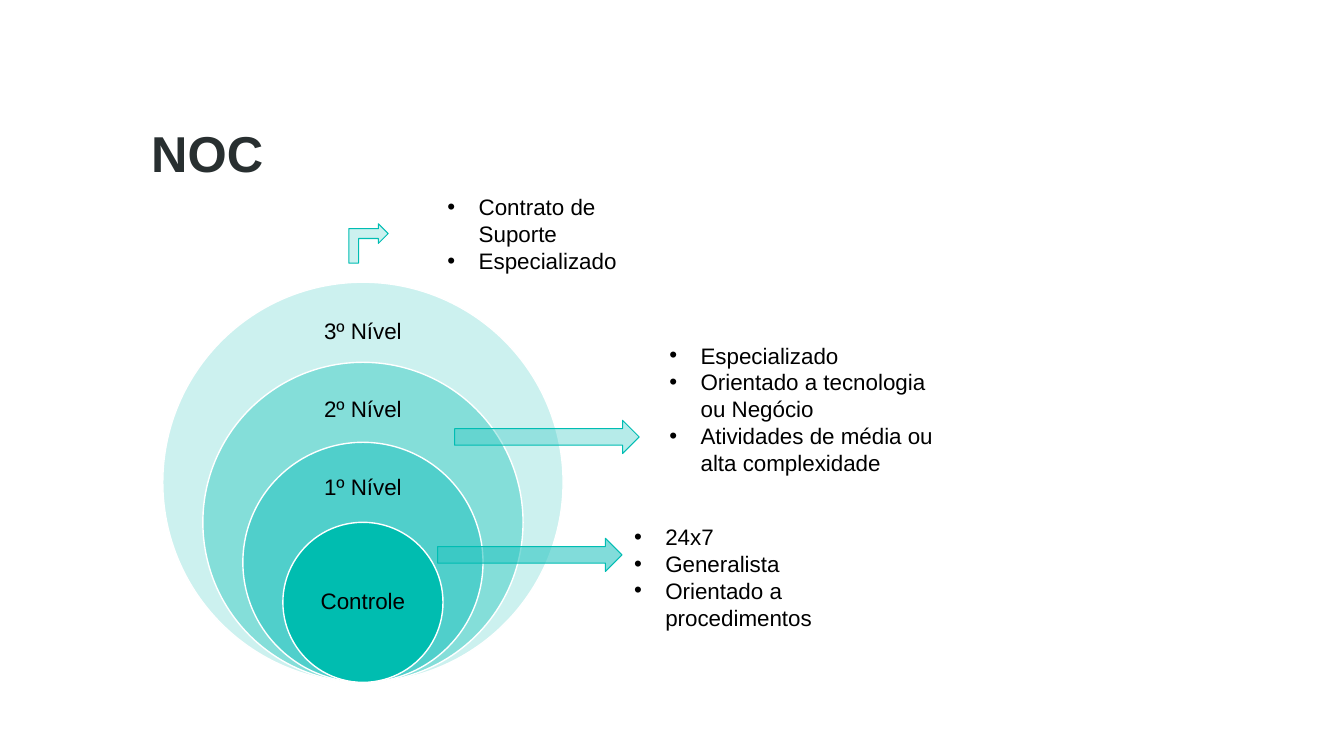
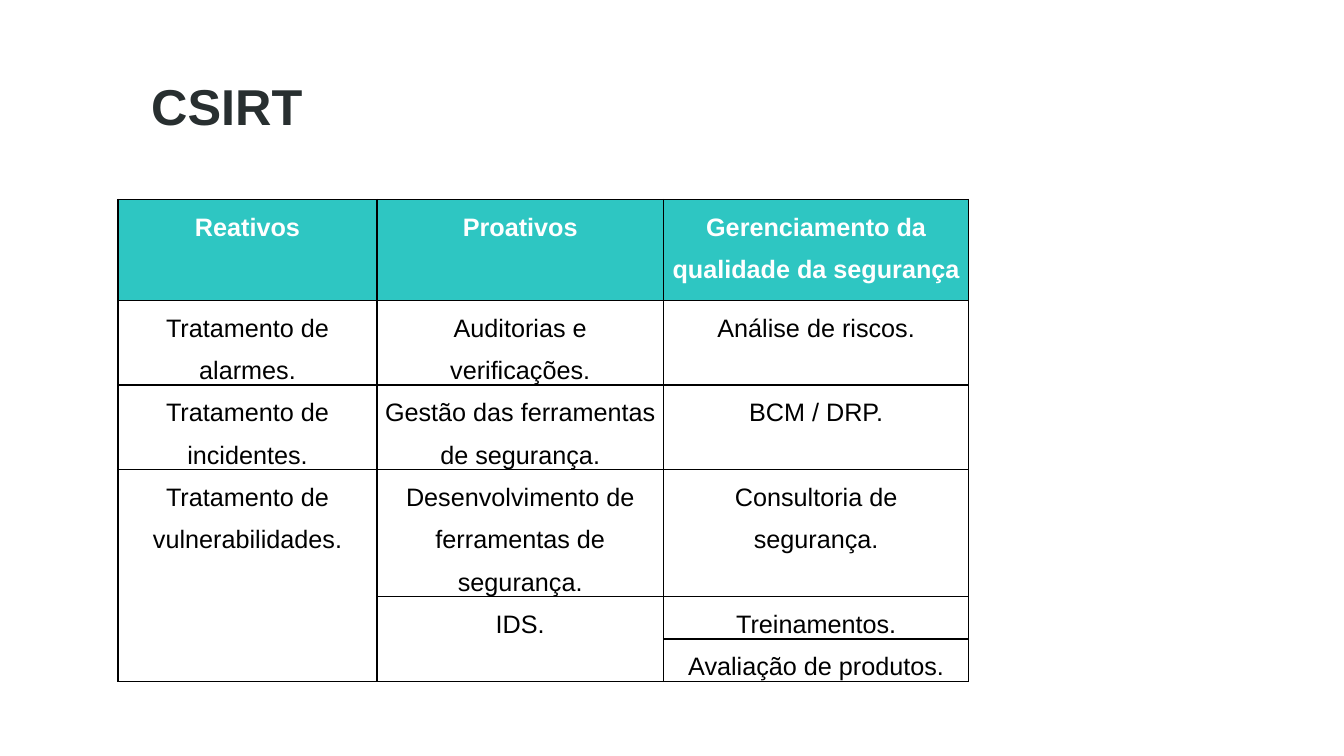
from lxml.etree import SubElement
from pptx import Presentation
from pptx.dml.color import RGBColor
from pptx.enum.shapes import MSO_SHAPE as SHAPE
from pptx.enum.text import MSO_ANCHOR as ANCHOR, MSO_AUTO_SIZE as AUTO, PP_ALIGN as ALIGN
from pptx.oxml.ns import qn
from pptx.util import Pt

PX = 9144
FONT = "Arial"
INK = RGBColor(0x28, 0x2F, 0x30)
BLACK = RGBColor(0x00, 0x00, 0x00)
WHITE = RGBColor(0xFF, 0xFF, 0xFF)
TEAL = RGBColor(0x00, 0xBD, 0xB0)
AQUA = RGBColor(0x2E, 0xC6, 0xC2)
ARROW_EDGE = RGBColor(0x00, 0xBD, 0xB3)

CENTER_X, BASE_Y, OUTER = 360, 677, 397
LEVELS = [
    ("3º Nível", TEAL, 20, 330),
    ("2º Nível", TEAL, 35, 407),
    ("1º Nível", AQUA, 60, 484),
    ("Controle", TEAL, 100, 598),
]
NOTES = [
    ((434, 187, 190, 91), ["Contrato de Suporte", "Especializado"]),
    ((654, 334, 285, 145), ["Especializado", "Orientado a tecnologia ou Negócio",
                            "Atividades de média ou alta complexidade"]),
    ((619, 514, 199, 118), ["24x7", "Generalista", "Orientado a procedimentos"]),
]

COLUMNS = [257, 284, 303]
ROWS = [100, 84, 84, 126, 42, 42]
SERVICES = [
    ["Reativos", "Proativos", "Gerenciamento da qualidade da segurança"],
    ["Tratamento de alarmes.", "Auditorias e verificações.", "Análise de riscos."],
    ["Tratamento de incidentes.", "Gestão das ferramentas de segurança.", "BCM / DRP."],
    ["Tratamento de vulnerabilidades.", "Desenvolvimento de ferramentas de segurança.",
     "Consultoria de segurança."],
    [None, "IDS.", "Treinamentos."],
    [None, None, "Avaliação de produtos."],
]
MERGES = [((3, 0), (5, 0)), ((4, 1), (5, 1))]


def px(*lengths):
    return [round(n * PX) for n in lengths]


def write(p, text, size=16, color=BLACK, bold=False, align=ALIGN.LEFT, spacing=1.0, bullet=False):
    p.alignment = align
    p.line_spacing = spacing
    if bullet:
        indent = px(31)[0]
        pPr = p._p.get_or_add_pPr()
        pPr.set("marL", str(indent))
        pPr.set("indent", str(-indent))
        SubElement(pPr, qn("a:buFont"), typeface=FONT)
        SubElement(pPr, qn("a:buChar"), char="•")
    r = p.add_run()
    r.text = text
    r.font.name, r.font.size, r.font.bold = FONT, Pt(size), bold
    r.font.color.rgb = color


def set_frame(tf, anchor, inset_x=10, inset_y=5):
    tf.word_wrap = True
    tf.auto_size = AUTO.NONE
    tf.vertical_anchor = anchor
    tf.margin_left = tf.margin_right = px(inset_x)[0]
    tf.margin_top = tf.margin_bottom = px(inset_y)[0]


def add_text(s, box, lines, anchor=ANCHOR.TOP, **style):
    tf = s.shapes.add_textbox(*px(*box)).text_frame
    set_frame(tf, anchor)
    for i, line in enumerate(lines):
        write(tf.add_paragraph() if i else tf.paragraphs[0], line, **style)


def add_titled_slide(prs, text, top):
    s = prs.slides.add_slide(prs.slide_layouts[5])
    title = s.shapes.title
    title.left, title.top, title.width, title.height = px(140, top, 670, 78)
    set_frame(title.text_frame, ANCHOR.MIDDLE)
    write(title.text_frame.paragraphs[0], text, size=36, color=INK, bold=True, spacing=1.5)
    return s


def add_figure(s, kind, box, color, opacity, edge, weight):
    sp = s.shapes.add_shape(kind, *px(*box))
    sp.shadow.inherit = False
    sp.fill.solid()
    sp.fill.fore_color.rgb = color
    if opacity < 100:
        rgb = sp.element.spPr.find(qn("a:solidFill")).find(qn("a:srgbClr"))
        SubElement(rgb, qn("a:alpha"), val=str(opacity * 1000))
    sp.line.color.rgb = edge
    sp.line.width = Pt(weight)
    return sp


def add_levels(s):
    for i, (label, color, opacity, label_y) in enumerate(LEVELS):
        d = OUTER * (5 - i) / 5
        add_figure(s, SHAPE.OVAL, (CENTER_X - d / 2, BASE_Y - d, d, d), color, opacity, WHITE, 1)
        add_text(s, (CENTER_X - 60, label_y - 30, 120, 60), [label],
                 anchor=ANCHOR.MIDDLE, align=ALIGN.CENTER, spacing=0.9)


def add_arrows(s):
    for left, top, opacity in [(434, 534, 60), (451, 417, 35)]:
        add_figure(s, SHAPE.RIGHT_ARROW, (left, top, 183, 33), AQUA, opacity, ARROW_EDGE, 0.75)
    bent = add_figure(s, SHAPE.BENT_UP_ARROW, (346, 222, 39, 39), TEAL, 20, ARROW_EDGE, 0.75)
    bent.rotation = 90
    bent.element.spPr.xfrm.set("flipH", "1")


def set_borders(cell):
    tcPr = cell._tc.get_or_add_tcPr()
    for i, side in enumerate(("a:lnL", "a:lnR", "a:lnT", "a:lnB")):
        ln = SubElement(tcPr, qn(side), w=str(Pt(1)))
        SubElement(SubElement(ln, qn("a:solidFill")), qn("a:srgbClr"), val=str(BLACK))
        tcPr.insert(i, ln)


def add_services(s):
    box = px(117, 198, sum(COLUMNS), sum(ROWS))
    table = s.shapes.add_table(len(ROWS), len(COLUMNS), *box).table
    table.horz_banding = table.first_row = False
    for column, width in zip(table.columns, px(*COLUMNS)):
        column.width = width
    for row, height in zip(table.rows, px(*ROWS)):
        row.height = height
    for r, texts in enumerate(SERVICES):
        header = r == 0
        for c, text in enumerate(texts):
            cell = table.cell(r, c)
            cell.margin_left = cell.margin_right = px(7)[0]
            cell.margin_top = cell.margin_bottom = 0
            if header:
                cell.fill.solid()
                cell.fill.fore_color.rgb = AQUA
            else:
                cell.fill.background()
            set_borders(cell)
            if text:
                write(cell.text_frame.paragraphs[0], text, size=18, bold=header,
                      color=WHITE if header else BLACK, align=ALIGN.CENTER, spacing=1.5)
    for first, last in MERGES:
        table.cell(*first).merge(table.cell(*last))


def main():
    prs = Presentation()
    prs.slide_width, prs.slide_height = px(1333, 750)
    s = add_titled_slide(prs, "NOC", 97)
    add_levels(s)
    add_arrows(s)
    for box, lines in NOTES:
        add_text(s, box, lines, bullet=True)
    add_services(add_titled_slide(prs, "CSIRT", 51))
    prs.save("out.pptx")


if __name__ == "__main__":
    main()
